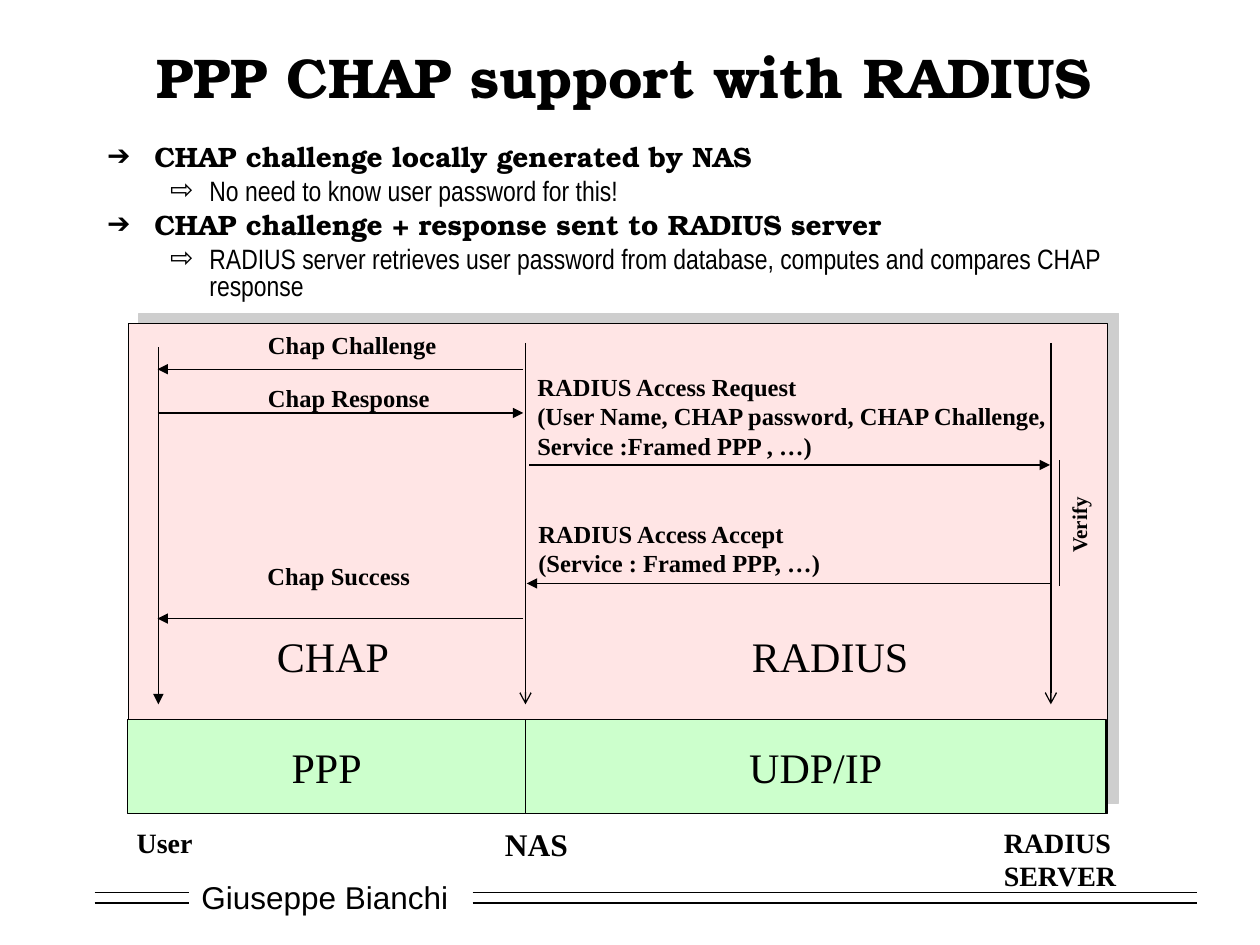
from lxml import etree
from pptx import Presentation
from pptx.dml.color import RGBColor
from pptx.enum.shapes import MSO_CONNECTOR, MSO_SHAPE
from pptx.enum.text import MSO_ANCHOR, MSO_AUTO_SIZE, PP_ALIGN
from pptx.oxml.ns import qn
from pptx.util import Pt

LEFT, CENTER = PP_ALIGN.LEFT, PP_ALIGN.CENTER
MIDDLE, TOP = MSO_ANCHOR.MIDDLE, MSO_ANCHOR.TOP
FIT, FIXED = MSO_AUTO_SIZE.SHAPE_TO_FIT_TEXT, MSO_AUTO_SIZE.NONE
STRAIGHT, RECT = MSO_CONNECTOR.STRAIGHT, MSO_SHAPE.RECTANGLE

BLACK, WHITE, PINK, GREEN, GRAY = "000000", "FFFFFF", "FFE5E5", "CCFFCC", "CECECE"
SERIF, SLAB, NARROW, SANS = "Times New Roman", "TeX Gyre Bonum", "Arial Narrow", "Arial"

USER, NAS, SERVER = 90.5, 300.3, 600.5  # x of the three lifelines
END = 402.5  # y where the lifelines stop

POINTS = [
    ("CHAP challenge locally generated by NAS", 0),
    ("No need to know user password for this!", 1),
    ("CHAP challenge + response sent to RADIUS server", 0),
    ("RADIUS server retrieves user password from database, "
     "computes and compares CHAP response", 1),
]
# level: font, bold, bullet, left margin, hanging indent
LEVELS = [(SLAB, True, "➔", 27, 27), (NARROW, False, "⇨", 58.5, 22.5)]

# lines, left, top, width, height, size, bold
LABELS = [
    (["Chap Challenge"], 146, 185, 112, 24.5, 14, True),
    (["Chap Response"], 146, 215.3, 109, 24.5, 14, True),
    (["Chap Success"], 145.7, 317, 98, 24.5, 14, True),
    (["RADIUS Access Request",
      "(User Name, CHAP password, CHAP Challenge,",
      "Service :Framed PPP , …)"], 300, 209, 308, 57.6, 14, True),
    (["RADIUS Access Accept",
      "(Service : Framed PPP, …)"], 300.5, 293, 178, 41, 14, True),
    (["User"], 71, 468, 49, 26.6, 16, True),
    (["NAS"], 281.5, 468, 52, 29, 18, True),
    (["RADIUS", "SERVER"], 566.6, 468, 81, 46, 16, True),
    (["CHAP"], 151.2, 357, 80, 36, 24, False),
    (["RADIUS"], 422.6, 357, 105, 36, 24, False),
]

# start x, end x, y
MESSAGES = [
    (299, 90, 211), (90, 299, 236), (302.5, 600, 265.7),
    (600, 301, 333.4), (299, 90, 353.5),
]


def color(code):
    return RGBColor.from_string(code)


def write(para, text, font=SERIF, size=14, bold=False, align=LEFT):
    """Fill one paragraph with one formatted run."""
    para.alignment = align
    run = para.add_run()
    run.text = text
    run.font.name, run.font.size, run.font.bold = font, Pt(size), bold
    run.font.color.rgb = color(BLACK)


def place(shape, left, top, width, height):
    shape.left, shape.top = Pt(left), Pt(top)
    shape.width, shape.height = Pt(width), Pt(height)


def add_label(slide, lines, left, top, width, height, size, bold, turn=0):
    box = slide.shapes.add_textbox(Pt(left), Pt(top), Pt(width), Pt(height))
    box.rotation = turn
    frame = box.text_frame
    frame.word_wrap, frame.auto_size = False, FIT
    for i, line in enumerate(lines):
        para = frame.add_paragraph() if i else frame.paragraphs[0]
        write(para, line, size=size, bold=bold)


def add_box(slide, left, top, width, height, fill, edge=True):
    box = slide.shapes.add_shape(RECT, Pt(left), Pt(top), Pt(width), Pt(height))
    box.shadow.inherit = False
    box.fill.solid()
    box.fill.fore_color.rgb = color(fill)
    if edge:
        box.line.color.rgb = color(BLACK)
        box.line.width = Pt(0.75)
    else:
        box.line.fill.background()
    frame = box.text_frame
    frame.word_wrap, frame.vertical_anchor = False, MIDDLE
    return box


def add_line(slide, x1, y1, x2, y2, width=0.75, tip=None):
    line = slide.shapes.add_connector(STRAIGHT, Pt(x1), Pt(y1), Pt(x2), Pt(y2))
    line.line.color.rgb = color(BLACK)
    line.line.width = Pt(width)
    props = line._element.spPr
    if tip:
        etree.SubElement(props.find(qn("a:ln")), qn("a:tailEnd"), type=tip)
    etree.SubElement(props, qn("a:effectLst"))


def cast_shadow(box):
    """Give the box a hard shadow up and to the right."""
    effects = box._element.spPr.find(qn("a:effectLst"))
    shade = etree.SubElement(effects, qn("a:outerShdw"), dist=str(Pt(8.5)),
                             dir=str(315 * 60000), algn="ctr", rotWithShape="0")
    etree.SubElement(shade, qn("a:srgbClr"), val=GRAY)


def add_bullet(para, mark, margin, hang):
    props = para._p.get_or_add_pPr()
    props.set("marL", str(Pt(margin)))
    props.set("indent", str(-Pt(hang)))
    tint = etree.SubElement(props, qn("a:buClr"))
    etree.SubElement(tint, qn("a:srgbClr"), val=BLACK)
    etree.SubElement(props, qn("a:buChar"), char=mark)


def fill_title(title):
    place(title, 54, 18, 606, 51)
    frame = title.text_frame
    frame.vertical_anchor, frame.auto_size = MIDDLE, FIXED
    write(frame.paragraphs[0], "PPP CHAP support with RADIUS",
          font=SLAB, size=32, bold=True, align=CENTER)


def fill_body(body):
    place(body, 54, 80, 606, 105)
    frame = body.text_frame
    frame.vertical_anchor, frame.auto_size = TOP, FIXED
    for i, (text, level) in enumerate(POINTS):
        para = frame.add_paragraph() if i else frame.paragraphs[0]
        font, bold, mark, margin, hang = LEVELS[level]
        para.level = level
        add_bullet(para, mark, margin, hang)
        para.line_spacing = 0.8
        para.space_before = Pt(4 if i else 0)
        write(para, text, font=font, size=16, bold=bold)


def add_footer(slide):
    box = add_box(slide, 108, 498, 156, 29, WHITE, edge=False)
    write(box.text_frame.paragraphs[0], "Giuseppe Bianchi", font=SANS, size=18)
    for y in (510, 516):
        for x1, x2 in ((54, 108), (270, 684)):
            add_line(slide, x1, y, x2, y, width=1)


def add_flow(slide):
    """Draw the message exchange between user, NAS and server."""
    cast_shadow(add_box(slide, 73.5, 185, 559.5, 280, PINK))
    for x1, x2, y in MESSAGES:
        add_line(slide, x1, y, x2, y, tip="triangle")
    for x, top, tip in ((USER, 198.5, "triangle"), (NAS, 196, "arrow"),
                        (SERVER, 196, "arrow")):
        add_line(slide, x, top, x, END, tip=tip)
    add_line(slide, 605.5, 263, 605.5, 335)
    for text, left, right in (("PPP", 73, NAS), ("UDP/IP", NAS, 632)):
        box = add_box(slide, left, 411, right - left, 54, GREEN)
        write(box.text_frame.paragraphs[0], text, size=24, align=CENTER)
    for label in LABELS:
        add_label(slide, *label)
    add_label(slide, ["Verify"], 592.5, 288, 48, 21.6, 12, True, turn=270)


def main():
    deck = Presentation()
    deck.slide_width, deck.slide_height = Pt(720), Pt(540)
    slide = deck.slides.add_slide(deck.slide_layouts[1])
    add_footer(slide)
    fill_title(slide.shapes.title)
    fill_body(slide.placeholders[1])
    add_flow(slide)
    deck.save("out.pptx")


if __name__ == "__main__":
    main()
